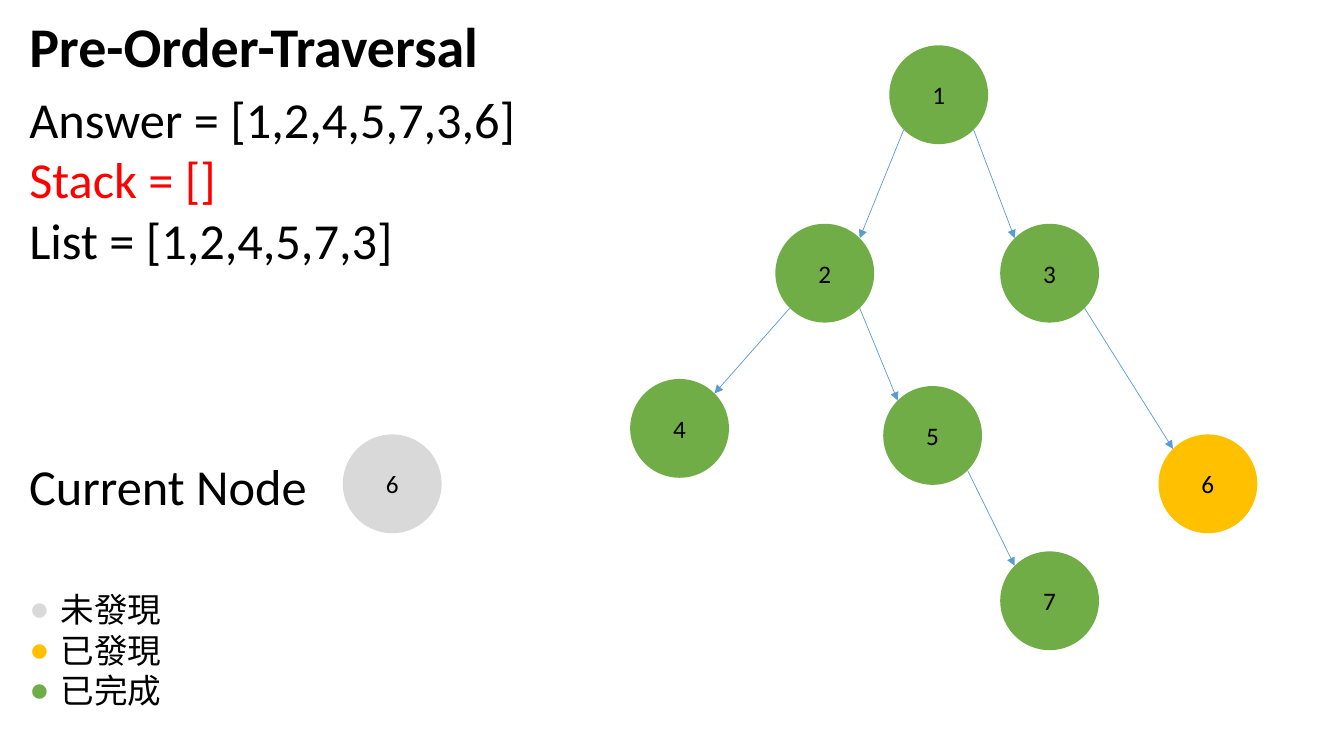
import math
import pptx
import pptx.dml.color
import pptx.enum.shapes
import pptx.enum.text
import pptx.oxml
import pptx.oxml.ns
import pptx.util

# Content
TITLE = "Pre-Order-Traversal"
STATE = [("Answer = [1,2,4,5,7,3,6]", "text"), ("Stack = []", "alert"),
         ("List = [1,2,4,5,7,3]", "text")]
CURRENT_LABEL = "Current Node"
CURRENT = ("6", (3.89, 4.8), "unseen")
LEGEND = [("未發現", "unseen"), ("已發現", "found"), ("已完成", "done")]
NODES = {  # label: (centre in inches, state)
    "1": ((9.31, 0.94), "done"),
    "2": ((8.18, 2.71), "done"),
    "3": ((10.41, 2.71), "done"),
    "4": ((6.74, 4.25), "done"),
    "5": ((9.25, 4.32), "done"),
    "6": ((11.98, 4.8), "found"),
    "7": ((10.41, 5.96), "done"),
}
EDGES = ["12", "13", "24", "25", "36", "57"]  # parent, child

# Look and layout, lengths in inches
THEME = {
    "colors": {"text": "000000", "alert": "FF0000", "edge": "5B9BD5",
               "unseen": "D9D9D9", "found": "FFC000", "done": "70AD47"},
    "sizes": {"title": 40, "state": 36, "legend": 24, "node": 18, "edge": 0.5},
    "latin": "Calibri", "cjk": "Noto Sans CJK SC",
}
LEFT = 0.19
DIAMETER = 0.98
TITLE_BOX = (LEFT, 0.06, 4.75, 0.77)
STATE_BOX = (LEFT, 0.82, 5.07, 1.93)
CURRENT_BOX = (LEFT, 4.47, 3.1, 0.71)
LEGEND_BOX = (LEFT, 5.79, 1.53, 1.31)
LEGEND_INDENT = 0.31
LEGEND_LINE = 29  # points

inches = pptx.util.Inches


def color(name):
    return pptx.dml.color.RGBColor.from_string(THEME["colors"][name])


def add_xml(parent, tag, **attributes):
    element = pptx.oxml.parse_xml(f"<a:{tag} {pptx.oxml.ns.nsdecls('a')}/>")
    for name, value in attributes.items():
        element.set(name, value)
    parent.append(element)
    return element


def add_run(paragraph, text, size, tint="text", font="latin", bold=False):
    run = paragraph.add_run()
    run.text = text
    run.font.size = pptx.util.Pt(THEME["sizes"][size])
    run.font.color.rgb = color(tint)
    run.font.bold = bold
    run.font.name = THEME[font]
    add_xml(run.font._element, "ea", typeface=THEME[font])


def prepare_text(shape, box):
    shape.left, shape.top, shape.width, shape.height = map(inches, box)
    frame = shape.text_frame
    frame.word_wrap = True
    frame.auto_size = pptx.enum.text.MSO_AUTO_SIZE.NONE
    frame.vertical_anchor = pptx.enum.text.MSO_ANCHOR.TOP
    return frame


def next_paragraph(frame, index):
    paragraph = frame.add_paragraph() if index else frame.paragraphs[0]
    paragraph.alignment = pptx.enum.text.PP_ALIGN.LEFT
    paragraph.space_before = pptx.util.Pt(0)
    return paragraph


def set_indent(paragraph, indent):
    properties = paragraph._p.get_or_add_pPr()
    properties.set("marL", str(inches(indent)))
    properties.set("indent", str(inches(-indent)))
    return properties


def add_node(slide, label, center, state):
    left, top = (value - DIAMETER / 2 for value in center)
    shape = slide.shapes.add_shape(pptx.enum.shapes.MSO_SHAPE.OVAL, inches(left), inches(top),
                                   inches(DIAMETER), inches(DIAMETER))
    shape.shadow.inherit = False
    shape.fill.solid()
    shape.fill.fore_color.rgb = color(state)
    shape.line.fill.background()
    paragraph = shape.text_frame.paragraphs[0]
    paragraph.alignment = pptx.enum.text.PP_ALIGN.CENTER
    add_run(paragraph, label, "node")


def add_edge(slide, parent, child):
    """Join the lower diagonal of the parent to the upper one of the child."""
    (x1, y1), (x2, y2) = NODES[parent][0], NODES[child][0]
    reach = DIAMETER / 2 * math.sqrt(0.5)
    side = math.copysign(reach, x2 - x1)
    ends = (x1 + side, y1 + reach, x2 - side, y2 - reach)
    connector = slide.shapes.add_connector(pptx.enum.shapes.MSO_CONNECTOR.STRAIGHT,
                                           *map(inches, ends))
    connector.line.color.rgb = color("edge")
    connector.line.width = pptx.util.Pt(THEME["sizes"]["edge"])
    add_xml(connector.line._get_or_add_ln(), "tailEnd", type="triangle")
    add_xml(connector._element.spPr, "effectLst")


def main():
    presentation = pptx.Presentation()
    presentation.slide_width, presentation.slide_height = inches(13.33), inches(7.5)
    slide = presentation.slides.add_slide(presentation.slide_layouts.get_by_name("Two Content"))
    title, state_body, legend_body = slide.placeholders

    # Title and traversal state
    frame = prepare_text(title, TITLE_BOX)
    add_run(next_paragraph(frame, 0), TITLE, "title", bold=True)
    frame = prepare_text(state_body, STATE_BOX)
    for index, (text, tint) in enumerate(STATE):
        paragraph = next_paragraph(frame, index)
        add_xml(set_indent(paragraph, 0), "buNone")
        add_run(paragraph, text, "state", tint)

    # Legend
    frame = prepare_text(legend_body, LEGEND_BOX)
    for index, (text, state) in enumerate(LEGEND):
        paragraph = next_paragraph(frame, index)
        paragraph.line_spacing = pptx.util.Pt(LEGEND_LINE)
        properties = set_indent(paragraph, LEGEND_INDENT)
        add_xml(add_xml(properties, "buClr"), "srgbClr", val=THEME["colors"][state])
        add_xml(properties, "buChar", char="●")
        add_run(paragraph, text, "legend", font="cjk")

    # Current node
    label = slide.shapes.add_textbox(*map(inches, CURRENT_BOX))
    frame = prepare_text(label, CURRENT_BOX)
    add_run(next_paragraph(frame, 0), CURRENT_LABEL, "state")
    add_node(slide, *CURRENT)

    # Tree
    for name, (center, state) in NODES.items():
        add_node(slide, name, center, state)
    for parent, child in EDGES:
        add_edge(slide, parent, child)

    presentation.save("out.pptx")


if __name__ == "__main__":
    main()
